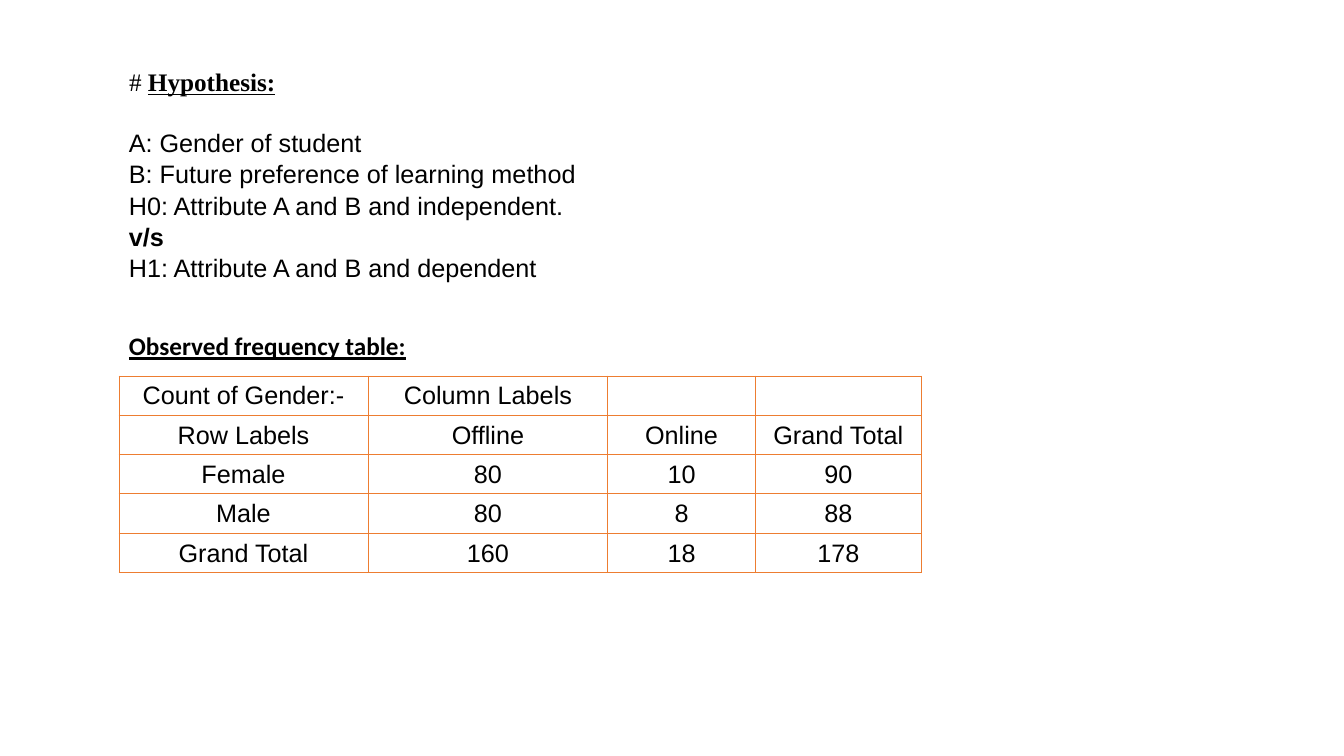
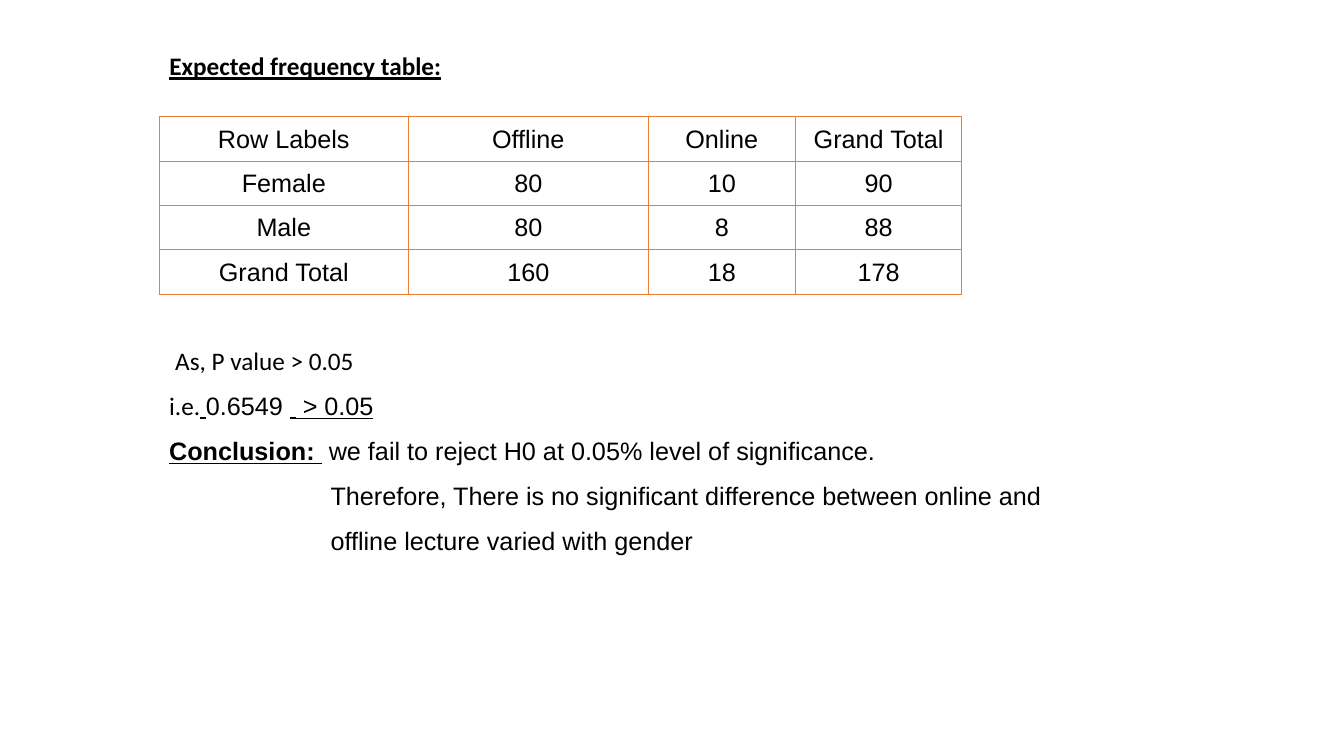
from lxml.etree import SubElement
from pptx import Presentation
from pptx.dml.color import RGBColor
from pptx.enum.text import MSO_ANCHOR, MSO_AUTO_SIZE, PP_ALIGN
from pptx.oxml.ns import qn
from pptx.util import Inches, Pt

# Shared style
BLACK = RGBColor(0x00, 0x00, 0x00)
ORANGE = RGBColor(0xED, 0x7D, 0x31)
BODY_FONT = "Arial"
HEADING_FONT = "Calibri"
SERIF_FONT = "Times New Roman"
TEXT_SIZE = 18
BORDER_WIDTH = 0.75
TITLE_ONLY = 5
COLUMN_WIDTHS = (2.47, 2.38, 1.46, 1.65)

# Frequencies shown in both tables
FREQUENCIES = [
    ("Row Labels", "Offline", "Online", "Grand Total"),
    ("Female", "80", "10", "90"),
    ("Male", "80", "8", "88"),
    ("Grand Total", "160", "18", "178"),
]


def add_text(paragraph, text, font=BODY_FONT, bold=False, underline=False):
    run = paragraph.add_run()
    run.text = text
    run.font.name = font
    run.font.size = Pt(TEXT_SIZE)
    run.font.bold = bold
    run.font.underline = underline
    run.font.color.rgb = BLACK


def place(shape, left, top, width, height):
    shape.left, shape.top = Inches(left), Inches(top)
    shape.width, shape.height = Inches(width), Inches(height)


def prepare_frame(frame):
    frame.word_wrap = True
    frame.auto_size = MSO_AUTO_SIZE.NONE
    frame.vertical_anchor = MSO_ANCHOR.TOP


def add_slide(deck, title_runs, left, top, width):
    """Add a slide whose title is made of (text, format) runs."""
    slide = deck.slides.add_slide(deck.slide_layouts[TITLE_ONLY])
    title = slide.shapes.title
    place(title, left, top, width, 0.4)
    prepare_frame(title.text_frame)
    paragraph = title.text_frame.paragraphs[0]
    paragraph.alignment = PP_ALIGN.LEFT
    for text, style in title_runs:
        add_text(paragraph, text, **style)
    return slide


def add_text_box(slide, left, top, width, height, lines, spacing=1.0, gap=0):
    """Add lines, each a pair of left indent and (text, format) runs."""
    frame = slide.shapes.add_textbox(
        Inches(left), Inches(top), Inches(width), Inches(height)).text_frame
    prepare_frame(frame)
    for number, (indent, runs) in enumerate(lines):
        paragraph = frame.add_paragraph() if number else frame.paragraphs[0]
        paragraph.line_spacing = spacing
        paragraph.space_before = Pt(gap if number else 0)
        if indent:
            paragraph._p.get_or_add_pPr().set("marL", str(Inches(indent)))
        for text, style in runs:
            add_text(paragraph, text, **style)


def set_borders(cell):
    properties = cell._tc.get_or_add_tcPr()
    for side in ("a:lnL", "a:lnR", "a:lnT", "a:lnB"):
        line = SubElement(properties, qn(side), w=str(Pt(BORDER_WIDTH)))
        fill = SubElement(line, qn("a:solidFill"))
        SubElement(fill, qn("a:srgbClr"), val=str(ORANGE))


def add_frequency_table(slide, left, top, row_height, rows):
    table = slide.shapes.add_table(
        len(rows), len(COLUMN_WIDTHS), Inches(left), Inches(top),
        Inches(sum(COLUMN_WIDTHS)), Inches(row_height * len(rows))).table
    table.first_row = table.horz_banding = False
    for column, width in zip(table.columns, COLUMN_WIDTHS):
        column.width = Inches(width)
    for table_row, values in zip(table.rows, rows):
        table_row.height = Inches(row_height)
        for cell, value in zip(table_row.cells, values):
            set_borders(cell)
            cell.fill.background()
            cell.margin_left = cell.margin_right = cell.margin_top = Inches(0.01)
            cell.margin_bottom = 0
            cell.vertical_anchor = MSO_ANCHOR.MIDDLE
            paragraph = cell.text_frame.paragraphs[0]
            paragraph.alignment = PP_ALIGN.CENTER
            if value:
                add_text(paragraph, value)


def main():
    deck = Presentation()
    deck.slide_width, deck.slide_height = Inches(13.33), Inches(7.5)
    heading = dict(font=HEADING_FONT, bold=True, underline=True)
    calibri = dict(font=HEADING_FONT)

    # Hypothesis and observed frequencies
    left = 1.18
    hypothesis = add_slide(deck, [
        ("# ", dict(font=SERIF_FONT)),
        ("Hypothesis:", dict(font=SERIF_FONT, bold=True, underline=True)),
    ], left, 0.61, 5.86)
    add_text_box(hypothesis, left, 1.2, 5.86, 1.6, [
        (0, [("A: Gender of student", {})]),
        (0, [("B: Future preference of learning method", {})]),
        (0, [("H0: Attribute A and B and independent.", {})]),
        (0, [("v/s", dict(bold=True))]),
        (0, [("H1: Attribute A and B and dependent", {})]),
    ], spacing=1.04)
    add_frequency_table(
        hypothesis, left, 3.73, 0.39,
        [("Count of Gender:-", "Column Labels", "", "")] + FREQUENCIES)
    add_text_box(hypothesis, left, 3.23, 3.85, 0.4,
                 [(0, [("Observed frequency table:", heading)])])

    # Expected frequencies and conclusion
    left = 1.58
    conclusion_indent = 1.6
    expected = add_slide(
        deck, [("Expected frequency table:", heading)], left, 0.45, 3.33)
    add_frequency_table(expected, left, 1.16, 0.44, FREQUENCIES)
    add_text_box(expected, left, 3.34, 9.26, 2.3, [
        (0.06, [("As, P value > 0.05", calibri)]),
        (0, [("i.e.", calibri),
             (" ", dict(font=HEADING_FONT, underline=True)),
             ("0.6549 ", {}),
             (" ", dict(font=HEADING_FONT, underline=True)),
             (" > 0.05", dict(underline=True))]),
        (0, [("Conclusion: ", dict(bold=True, underline=True)),
             (" we fail to reject H0 at 0.05% level of significance.", {})]),
        (conclusion_indent, [("Therefore, There is no significant difference "
                              "between online and", {})]),
        (conclusion_indent, [("offline lecture varied with gender", {})]),
    ], spacing=1.12, gap=8)

    deck.save("out.pptx")


if __name__ == "__main__":
    main()
